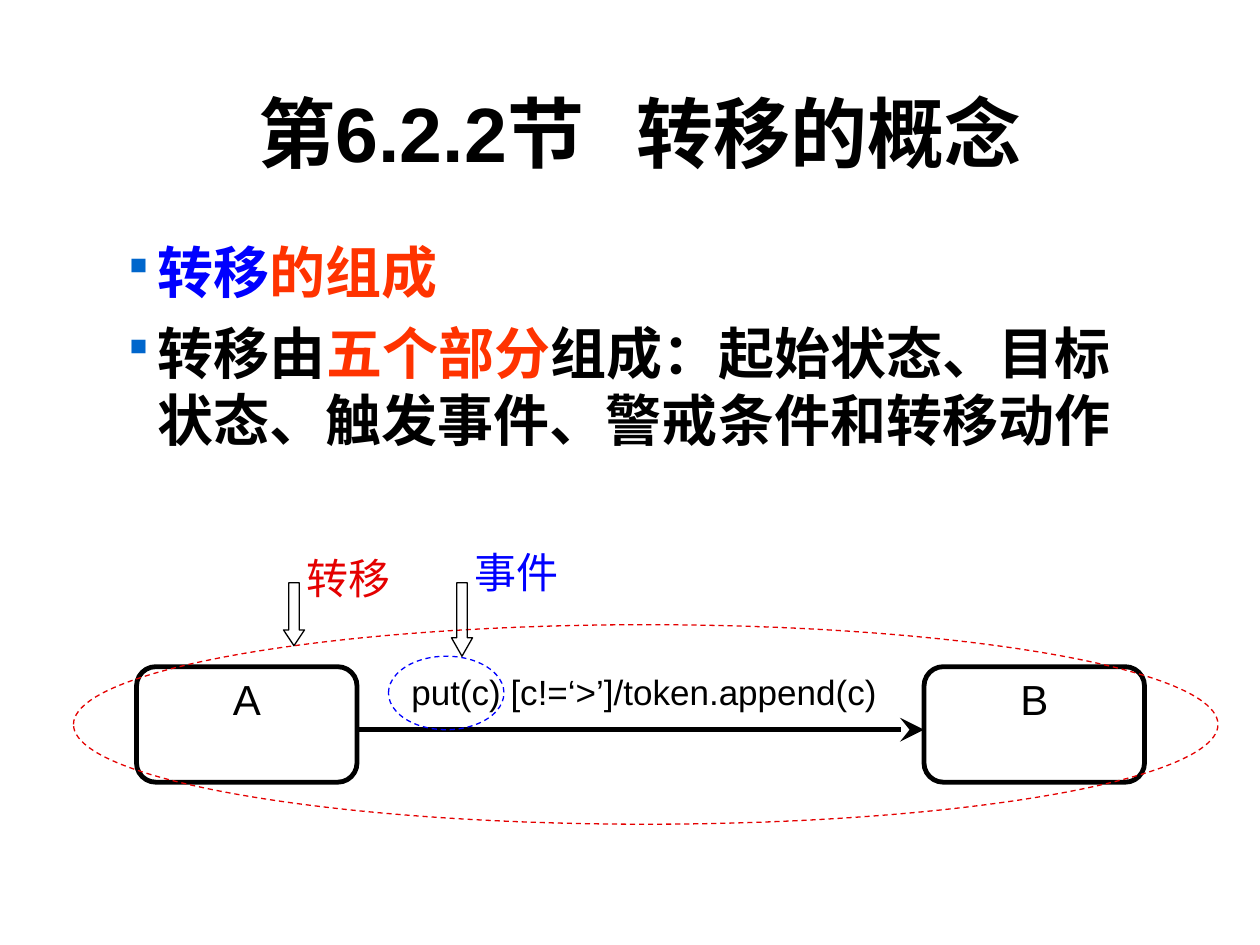
"""Build the slide on the concept of a state transition and its parts."""
from typing import NamedTuple

from lxml.etree import SubElement
from pptx import Presentation
from pptx.dml.color import RGBColor
from pptx.enum.dml import MSO_LINE_DASH_STYLE as Dash
from pptx.enum.shapes import MSO_CONNECTOR_TYPE as Connector
from pptx.enum.shapes import MSO_SHAPE as Preset
from pptx.enum.text import MSO_ANCHOR as Anchor
from pptx.enum.text import PP_ALIGN as Align
from pptx.oxml.ns import qn
from pptx.util import Pt

BLACK, BLUE, RED, ORANGE, BULLET = "000000", "0000FF", "E40000", "FF3300", "0066CC"
THICK, THIN = 2.75, 0.75


class Box(NamedTuple):
    left: float
    top: float
    width: float
    height: float


class Run(NamedTuple):
    text: str
    color: str = BLACK
    spacing: float = 0


class Outline(NamedTuple):
    preset: Preset
    box: Box
    color: str = BLACK
    weight: float = THIN
    dash: Dash | None = None
    adjustments: tuple[float, ...] = ()


class Label(NamedTuple):
    text: str
    box: Box
    size: float
    color: str = BLACK


STATES = {"A": Box(78, 381, 126, 66), "B": Box(528, 381, 126, 66)}
OUTLINES = [
    Outline(Preset.OVAL, Box(42, 357, 654, 114), RED, dash=Dash.DASH),
    Outline(Preset.OVAL, Box(222, 375, 66, 42), BLUE, dash=Dash.DASH),
    Outline(Preset.DOWN_ARROW, Box(258, 333, 12, 42), adjustments=(0.5, 0.875)),
    Outline(Preset.DOWN_ARROW, Box(162, 333, 12, 36), adjustments=(0.5, 0.75)),
]
LABELS = [
    Label("put(c) [c!=‘>’]/token.append(c)", Box(228, 382.5, 282, 28.5), 20),
    Label("转移", Box(168, 315.5, 66, 33), 24, RED),
    Label("事件", Box(264, 312, 72, 33), 24, BLUE),
]
TITLE = [Run("第6.2.2节"), Run(" ", spacing=20), Run("转移的概念")]
POINTS = [
    [Run("转移", BLUE), Run("的组成", ORANGE)],
    [
        Run("转移由"),
        Run("五个部分", ORANGE),
        Run("组成：起始状态、目标状态、触发事件、警戒条件和转移动作"),
    ],
]


def rgb(color: str) -> RGBColor:
    return RGBColor.from_string(color)


def lengths(box: Box) -> list[Pt]:
    return [Pt(value) for value in box]


def set_font(paragraph, size: float, color: str | None = None, bold: bool = False) -> None:
    font = paragraph.font
    font.name, font.size, font.bold = "Arial", Pt(size), bold
    if color:
        font.color.rgb = rgb(color)


def add_runs(paragraph, runs: list[Run]) -> None:
    for item in runs:
        run = paragraph.add_run()
        run.text = item.text
        run.font.color.rgb = rgb(item.color)
        if item.spacing:
            run.font._element.set("spc", str(int(item.spacing * 100)))


def add_bullet(paragraph) -> None:
    properties = paragraph._p.get_or_add_pPr()
    properties.set("marL", str(Pt(20)))
    properties.set("indent", str(-Pt(20)))
    color = SubElement(properties, qn("a:buClr"))
    SubElement(color, qn("a:srgbClr"), val=BULLET)
    SubElement(properties, qn("a:buSzPct"), val="75000")
    SubElement(properties, qn("a:buChar"), char="▪")


def add_text_frame(slide, box: Box):
    frame = slide.shapes.add_textbox(*lengths(box)).text_frame
    frame.word_wrap = True
    return frame


def add_title(slide) -> None:
    frame = add_text_frame(slide, Box(60, 30, 612, 90))
    frame.vertical_anchor = Anchor.MIDDLE
    paragraph = frame.paragraphs[0]
    paragraph.alignment = Align.CENTER
    set_font(paragraph, 44, bold=True)
    add_runs(paragraph, TITLE)


def add_points(slide) -> None:
    frame = add_text_frame(slide, Box(66, 132, 582, 138))
    frame.margin_left = Pt(4.2)
    for index, runs in enumerate(POINTS):
        paragraph = frame.add_paragraph() if index else frame.paragraphs[0]
        if index:
            paragraph.space_before = Pt(8)
        add_bullet(paragraph)
        set_font(paragraph, 32, bold=True)
        add_runs(paragraph, runs)


def add_outline(slide, outline: Outline):
    shape = slide.shapes.add_shape(outline.preset, *lengths(outline.box))
    shape.shadow.inherit = False
    shape.fill.background()
    shape.line.color.rgb = rgb(outline.color)
    shape.line.width = Pt(outline.weight)
    if outline.dash:
        shape.line.dash_style = outline.dash
    for index, value in enumerate(outline.adjustments):
        shape.adjustments[index] = value
    return shape


def write_line(frame, text: str, size: float, color: str, alignment: Align) -> None:
    paragraph = frame.paragraphs[0]
    paragraph.text = text
    paragraph.alignment = alignment
    paragraph.line_spacing = 0.9
    set_font(paragraph, size, color)


def add_state(slide, name: str, box: Box) -> None:
    outline = Outline(Preset.ROUNDED_RECTANGLE, box, weight=THICK, adjustments=(0.167,))
    frame = add_outline(slide, outline).text_frame
    frame.vertical_anchor = Anchor.TOP
    frame.margin_top = Pt(4)
    write_line(frame, name, 24, BLACK, Align.CENTER)


def add_label(slide, label: Label) -> None:
    frame = add_text_frame(slide, label.box)
    write_line(frame, label.text, label.size, label.color, Align.LEFT)


def add_transition(slide, source: Box, target: Box, y: float) -> None:
    connector = slide.shapes.add_connector(
        Connector.STRAIGHT, Pt(source.left + source.width), Pt(y), Pt(target.left), Pt(y)
    )
    connector.line.color.rgb = rgb(BLACK)
    connector.line.width = Pt(THICK)
    line = connector.line._get_or_add_ln()
    SubElement(line, qn("a:tailEnd"), type="stealth", w="lg", len="lg")
    SubElement(connector._element.spPr, qn("a:effectLst"))


def main() -> None:
    presentation = Presentation()
    presentation.slide_width, presentation.slide_height = Pt(720), Pt(540)
    slide = presentation.slides.add_slide(presentation.slide_layouts[6])
    add_title(slide)
    add_points(slide)
    for name, box in STATES.items():
        add_state(slide, name, box)
    add_transition(slide, STATES["A"], STATES["B"], 417)
    for outline in OUTLINES:
        add_outline(slide, outline)
    for label in LABELS:
        add_label(slide, label)
    presentation.save("out.pptx")


if __name__ == "__main__":
    main()
